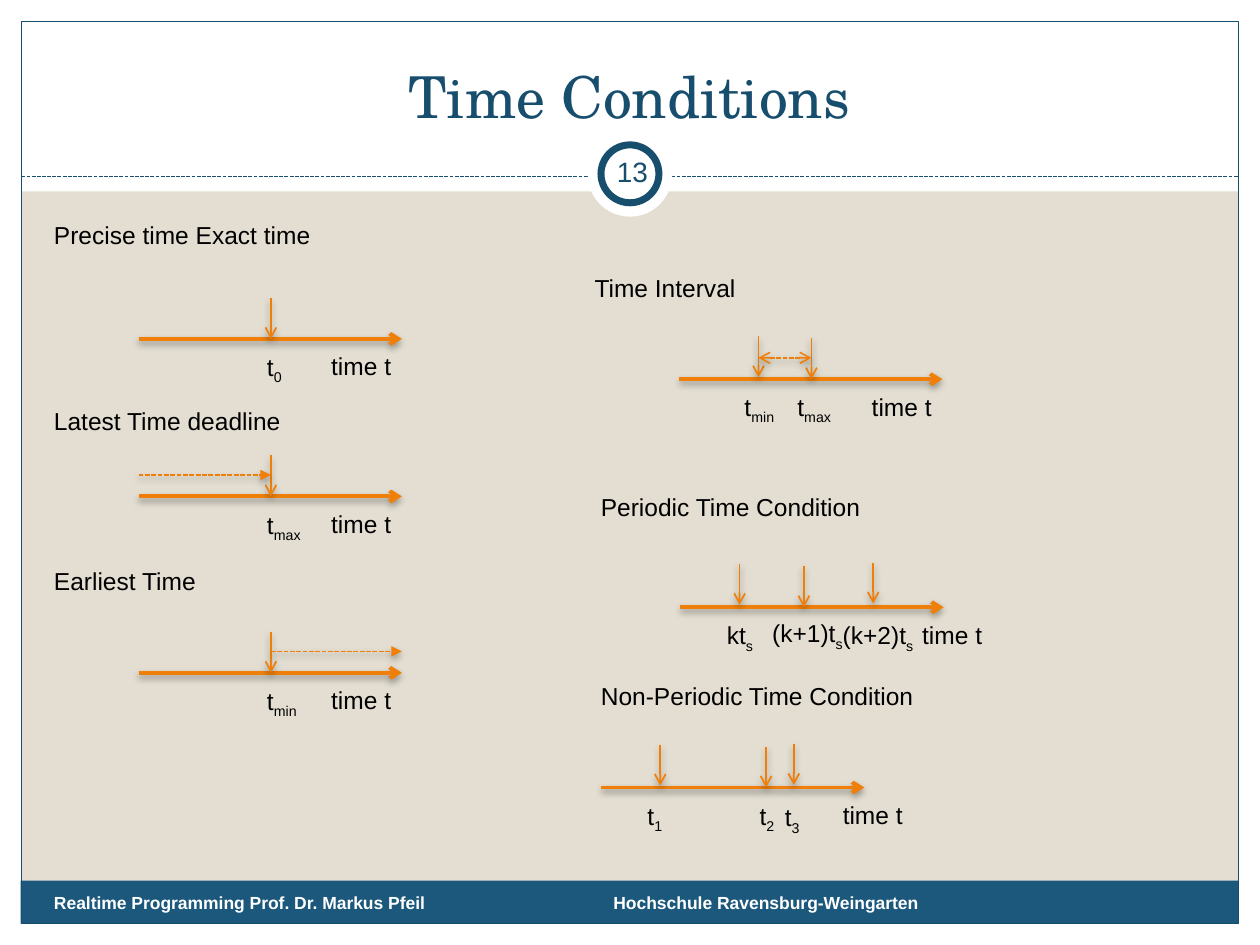
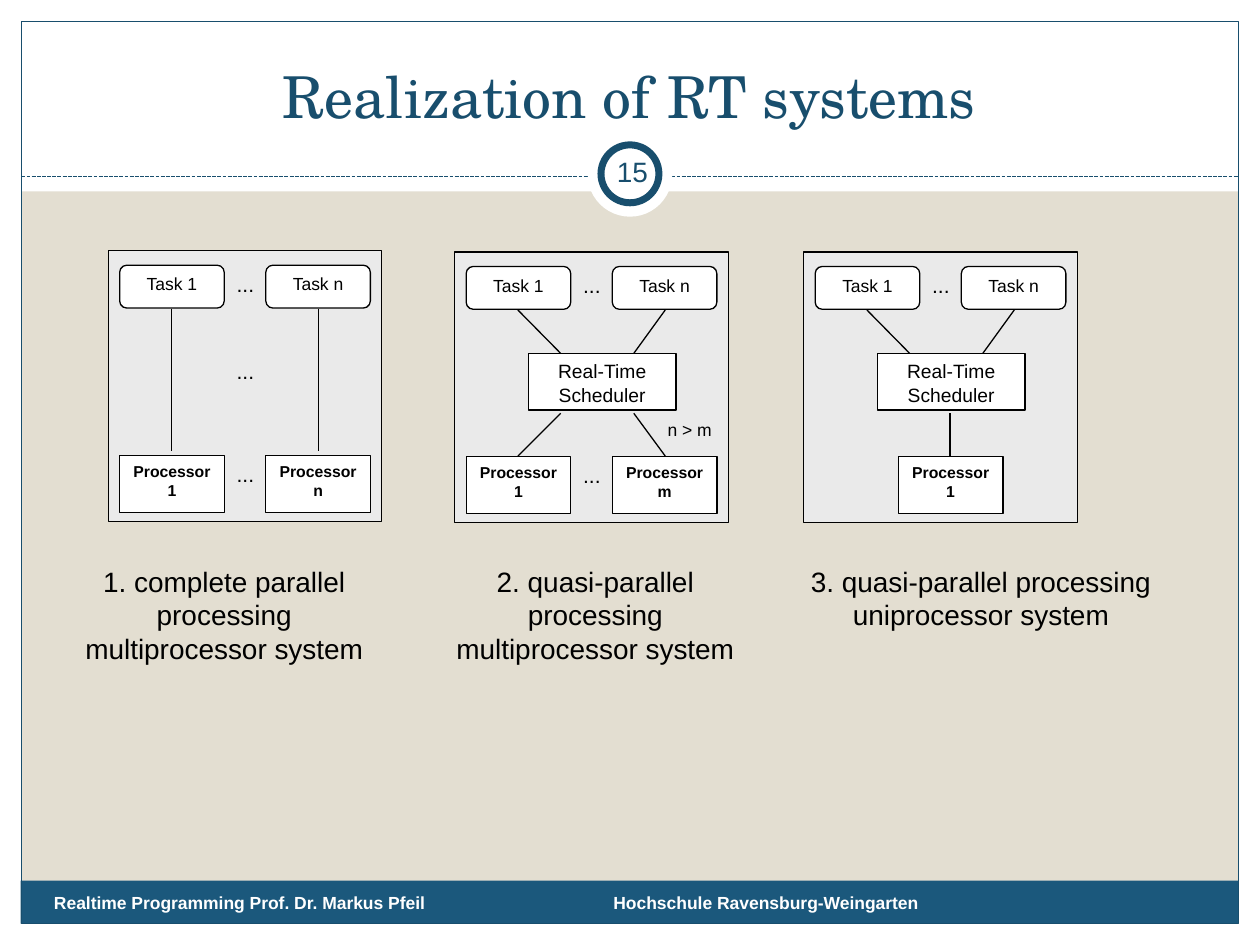
from dataclasses import dataclass
from typing import Any, Optional

import lxml.etree
import pptx
import pptx.dml.color
import pptx.enum.dml
import pptx.enum.shapes
import pptx.enum.text
import pptx.oxml.ns
import pptx.util

SHAPE = pptx.enum.shapes.MSO_SHAPE
ALIGN = pptx.enum.text.PP_ALIGN
ANCHOR = pptx.enum.text.MSO_ANCHOR

SLIDE_WIDTH = pptx.util.Inches(10)
SLIDE_HEIGHT = pptx.util.Inches(7.5)
GRID_COLUMNS, GRID_ROWS = 100, 75


@dataclass(frozen=True)
class Theme:
    background: str = "E3DED1"
    paper: str = "FFFFFF"
    ink: str = "000000"
    navy: str = "184E6D"
    footer_band: str = "1B587C"
    panel: str = "EAEAEA"
    orange: str = "F07F09"
    body_font: str = "Arial"
    title_font: str = "TeX Gyre Schola"
    title_size: float = 33
    number_size: float = 16
    caption_size: float = 16
    label_size: float = 14
    dots_size: float = 12
    scheduler_size: float = 11
    small_size: float = 10
    processor_size: float = 9
    thin: float = 0.75
    span_line: float = 0.9
    mark_line: float = 1
    axis_line: float = 2.25
    ring_line: float = 4


THEME = Theme()


@dataclass(frozen=True)
class Box:
    """A rectangle in grid columns and rows."""
    left: float
    top: float
    width: float
    height: float

    def emu(self) -> tuple[int, int, int, int]:
        return (column(self.left), row(self.top), column(self.width), row(self.height))

    def moved(self, columns: float, rows: float) -> "Box":
        return Box(self.left + columns, self.top + rows, self.width, self.height)


@dataclass(frozen=True)
class Style:
    size: float
    color: str = THEME.ink
    font: str = THEME.body_font
    bold: bool = False
    align: Any = ALIGN.LEFT
    anchor: Any = ANCHOR.TOP
    spacing: Optional[float] = None


@dataclass(frozen=True)
class Stroke:
    color: str
    width: float
    dashed: bool = False
    head: str = ""
    tail: str = ""
    shadow: bool = False


@dataclass(frozen=True)
class Mark:
    """A downward arrow on a time axis, with its label."""
    at: float
    label_left: float
    text: str
    subscript: str
    label_width: float = 5.1
    lift: float = 0
    label_drop: float = 0.55


@dataclass(frozen=True)
class Span:
    start: float
    end: float
    head: str = ""
    tail: str = "triangle"


@dataclass(frozen=True)
class Timeline:
    heading: str
    heading_left: float
    heading_top: float
    axis_left: float
    axis_row: float
    time_left: float
    marks: tuple[Mark, ...]
    span: Optional[Span] = None


@dataclass(frozen=True)
class Panel:
    """A system diagram; everything but the caption is placed relative to its corner."""
    left: float
    top: float
    caption: tuple[str, ...]
    caption_left: float
    caption_width: float
    processors: tuple[tuple[float, str], ...]
    dot_rows: tuple[float, ...]
    links: tuple[tuple[float, float, float, float], ...]
    has_scheduler: bool = True
    note: str = ""


LABEL = Style(THEME.label_size)
CENTERED_SMALL = Style(THEME.small_size, align=ALIGN.CENTER)
FOOTER = Style(THEME.small_size, THEME.paper, bold=True)

AXIS_LENGTH, MARK_HEIGHT, SPAN_LIFT, LABEL_HEIGHT = 20.9, 3.25, 1.7, 3.4
AXIS_STROKE = Stroke(THEME.orange, THEME.axis_line, tail="arrow", shadow=True)
MARK_STROKE = Stroke(THEME.orange, THEME.mark_line, tail="arrow", shadow=True)

TIMELINES = (
    Timeline("Precise time Exact time", 3.3, 17, 11, 26.9, 25.3,
             (Mark(21.5, 20.2, "t", "0", 3.5),)),
    Timeline("Latest Time deadline", 3.3, 31.7, 11, 39.4, 25.3,
             (Mark(21.5, 20.2, "t", "max"),), Span(11, 21.5)),
    Timeline("Earliest Time", 3.3, 44.4, 11, 53.4, 25.3,
             (Mark(21.5, 20.2, "t", "min"),), Span(21.5, 31.9)),
    Timeline("Time Interval", 46.2, 21.2, 53.9, 30.1, 68.2,
             (Mark(60.2, 58.1, "t", "min", lift=0.15), Mark(64.4, 62.3, "t", "max")),
             Span(60.2, 64.4, "arrow", "arrow")),
    Timeline("Periodic Time Condition", 46.7, 38.6, 54, 48.2, 72.2,
             (Mark(58.7, 56.7, "kt", "s", lift=0.2),
              Mark(63.8, 60.3, "(k+1)t", "s", 8.3, label_drop=0.4),
              Mark(69.3, 65.9, "(k+2)t", "s", 8.3, 0.3))),
    Timeline("Non-Periodic Time Condition", 46.7, 53.6, 47.7, 62.5, 65.9,
             (Mark(52.4, 50.4, "t", "1", lift=0.15), Mark(60.8, 59.3, "t", "2", 4.1),
              Mark(63, 61.3, "t", "3", 3.5, 0.2, 0.7))),
)

PANEL_WIDTH, PANEL_HEIGHT = 21.7, 21.5
LEFT_SLOT, MIDDLE_SLOT, RIGHT_SLOT, DOTS_SLOT = 0.9, 7.5, 12.5, 9.2
TASK_ROW, SCHEDULER_ROW, PROCESSOR_ROW = 1.15, 8.05, 16.25
TASKS_TO_SCHEDULER = ((5, 4.6, 8.4, 8.05), (16.7, 4.6, 14.2, 8.05))
SCHEDULER_TO_PROCESSORS = ((8.4, 12.8, 5, 16.2), (14.2, 12.8, 16.7, 16.2))

PANELS = (
    Panel(8.6, 19.9, ("1. complete parallel processing\nmultiprocessor system",), 3.8, 28,
          ((LEFT_SLOT, "Processor 1"), (RIGHT_SLOT, "Processor n")),
          (TASK_ROW, SCHEDULER_ROW, PROCESSOR_ROW),
          ((5, 4.6, 5, 15.9), (16.7, 4.6, 16.7, 15.9)), has_scheduler=False),
    Panel(36.1, 20, ("2. quasi-parallel processing\nmultiprocessor system",), 33.1, 28.3,
          ((LEFT_SLOT, "Processor 1"), (RIGHT_SLOT, "Processor m")),
          (TASK_ROW, PROCESSOR_ROW),
          TASKS_TO_SCHEDULER + SCHEDULER_TO_PROCESSORS, note="n > m"),
    Panel(63.8, 20, ("3. quasi-parallel processing", "uniprocessor system"), 62.8, 30.1,
          ((MIDDLE_SLOT, "Processor 1"),), (TASK_ROW,),
          TASKS_TO_SCHEDULER + ((11.6, 12.8, 11.6, 16.2),)),
)


def column(count: float) -> int:
    return round(SLIDE_WIDTH * count / GRID_COLUMNS)


def row(count: float) -> int:
    return round(SLIDE_HEIGHT * count / GRID_ROWS)


def rgb(color: str) -> pptx.dml.color.RGBColor:
    return pptx.dml.color.RGBColor.from_string(color)


def fill_text(shape: Any, paragraphs: tuple[str, ...], style: Style, subscript: str = "") -> None:
    frame = shape.text_frame
    frame.word_wrap = True
    frame.vertical_anchor = style.anchor
    for index, text in enumerate(paragraphs):
        paragraph = frame.add_paragraph() if index else frame.paragraphs[0]
        paragraph.text = text
        paragraph.alignment = style.align
        if style.spacing:
            paragraph.line_spacing = style.spacing
        paragraph.font.size = pptx.util.Pt(style.size)
        paragraph.font.name = style.font
        paragraph.font.bold = style.bold
        paragraph.font.color.rgb = rgb(style.color)
    if subscript:
        run = paragraph.add_run()
        run.text = subscript
        run._r.get_or_add_rPr().set("baseline", "-25000")


def add_text(shapes: Any, box: Box, text: str | tuple[str, ...], style: Style,
             subscript: str = "") -> Any:
    shape = shapes.add_textbox(*box.emu())
    fill_text(shape, (text,) if isinstance(text, str) else text, style, subscript)
    return shape


def add_block(shapes: Any, kind: Any, box: Box, fill: str = "", line: str = "",
              width: float = THEME.thin, text: str = "", style: Style = CENTERED_SMALL) -> None:
    """Draw a preset shape; an empty fill or line colour means none."""
    shape = shapes.add_shape(kind, *box.emu())
    shape.shadow.inherit = False
    for part, color in ((shape.fill, fill), (shape.line.fill, line)):
        if color:
            part.solid()
            part.fore_color.rgb = rgb(color)
        else:
            part.background()
    if line:
        shape.line.width = pptx.util.Pt(width)
    if text:
        fill_text(shape, (text,), style)


def add_line(shapes: Any, start: tuple[float, float], end: tuple[float, float],
             stroke: Stroke) -> None:
    connector = shapes.add_connector(pptx.enum.shapes.MSO_CONNECTOR.STRAIGHT,
                                     column(start[0]), row(start[1]), column(end[0]), row(end[1]))
    connector.line.color.rgb = rgb(stroke.color)
    connector.line.width = pptx.util.Pt(stroke.width)
    if stroke.dashed:
        connector.line.dash_style = pptx.enum.dml.MSO_LINE.SQUARE_DOT
    properties = connector._element.spPr
    qualified = pptx.oxml.ns.qn
    for tag, arrow in (("a:headEnd", stroke.head), ("a:tailEnd", stroke.tail)):
        if arrow:
            lxml.etree.SubElement(properties.find(qualified("a:ln")), qualified(tag), type=arrow)
    effects = lxml.etree.SubElement(properties, qualified("a:effectLst"))
    if stroke.shadow:
        shadow = lxml.etree.SubElement(effects, qualified("a:outerShdw"), dir="5400000",
                                       blurRad=str(pptx.util.Pt(4)), dist=str(pptx.util.Pt(2)))
        color = lxml.etree.SubElement(shadow, qualified("a:srgbClr"), val=THEME.ink)
        lxml.etree.SubElement(color, qualified("a:alpha"), val="35000")


def add_framed_slide(presentation: Any, title: str, number: int) -> Any:
    """Add a slide with the shared bands, frame, title, number and footers."""
    slide = presentation.slides.add_slide(presentation.slide_layouts[6])
    slide.background.fill.solid()
    slide.background.fill.fore_color.rgb = rgb(THEME.background)
    shapes = slide.shapes
    for border in (Box(0, 73.3, 100, 1.7), Box(0, 0, 100, 15.2),
                   Box(0, 0, 1.7, 75), Box(98.3, 0, 1.7, 75)):
        add_block(shapes, SHAPE.RECTANGLE, border, THEME.paper)
    add_block(shapes, SHAPE.RECTANGLE, Box(1.65, 69.9, 96.6, 3.4), THEME.footer_band)
    add_block(shapes, SHAPE.RECTANGLE, Box(1.7, 1.7, 96.6, 71.6), line=THEME.navy)
    add_line(shapes, (1.7, 14), (98.3, 14), Stroke(THEME.navy, THEME.thin, dashed=True))
    add_block(shapes, SHAPE.OVAL, Box(46.65, 10.5, 6.7, 6.7), THEME.paper)
    add_block(shapes, SHAPE.OVAL, Box(47.7, 11.5, 4.6, 4.6), THEME.paper, THEME.navy,
              THEME.ring_line)
    add_text(shapes, Box(47.7, 70.8, 32.9, 2.2), "Hochschule Ravensburg-Weingarten",
             Style(THEME.small_size, THEME.paper, bold=True, spacing=0.65))
    add_text(shapes, Box(3.3, 70.3, 39.2, 2.7), "Realtime Programming Prof. Dr. Markus Pfeil",
             FOOTER)
    add_text(shapes, Box(3.3, 2.5, 93.3, 8.3), title,
             Style(THEME.title_size, THEME.navy, THEME.title_font, align=ALIGN.CENTER,
                   anchor=ANCHOR.BOTTOM))
    number_box = add_text(shapes, Box(47.7, 11.2, 5, 4.8), str(number),
                          Style(THEME.number_size, THEME.navy, align=ALIGN.CENTER,
                                anchor=ANCHOR.MIDDLE))
    number_box.text_frame.margin_left = number_box.text_frame.margin_right = column(0.5)
    return slide


def add_timeline(shapes: Any, timeline: Timeline) -> None:
    add_text(shapes, Box(timeline.heading_left, timeline.heading_top, 28.8, LABEL_HEIGHT),
             timeline.heading, LABEL)
    group = shapes.add_group_shape().shapes
    axis = timeline.axis_row
    add_line(group, (timeline.axis_left, axis), (timeline.axis_left + AXIS_LENGTH, axis),
             AXIS_STROKE)
    for mark in timeline.marks:
        tip = axis - mark.lift
        add_line(group, (mark.at, tip - MARK_HEIGHT), (mark.at, tip), MARK_STROKE)
        add_text(group, Box(mark.label_left, axis + mark.label_drop, mark.label_width,
                            LABEL_HEIGHT), mark.text, LABEL, mark.subscript)
    add_text(group, Box(timeline.time_left, axis + 0.5, 10.2, LABEL_HEIGHT), "time t", LABEL)
    if timeline.span:
        span = timeline.span
        add_line(group, (span.start, axis - SPAN_LIFT), (span.end, axis - SPAN_LIFT),
                 Stroke(THEME.orange, THEME.span_line, True, span.head, span.tail, True))


def add_panel(shapes: Any, panel: Panel) -> None:
    def place(left: float, top: float, width: float, height: float) -> Box:
        return Box(left, top, width, height).moved(panel.left, panel.top)

    add_block(shapes, SHAPE.RECTANGLE, place(0, 0, PANEL_WIDTH, PANEL_HEIGHT),
              THEME.panel, THEME.ink)
    for left, task in ((LEFT_SLOT, "Task 1"), (RIGHT_SLOT, "Task n")):
        add_block(shapes, SHAPE.FLOWCHART_ALTERNATE_PROCESS, place(left, TASK_ROW, 8.3, 3.4),
                  THEME.paper, THEME.ink, text=task)
    for left, processor in panel.processors:
        add_block(shapes, SHAPE.FLOWCHART_PROCESS, place(left, PROCESSOR_ROW, 8.3, 4.5),
                  THEME.paper, THEME.ink, text=processor,
                  style=Style(THEME.processor_size, bold=True, align=ALIGN.CENTER))
    if panel.has_scheduler:
        add_block(shapes, SHAPE.RECTANGLE, place(5.85, SCHEDULER_ROW, 11.7, 4.5),
                  THEME.paper, THEME.ink, text="Real-Time\nScheduler",
                  style=Style(THEME.scheduler_size, align=ALIGN.CENTER))
    for top in panel.dot_rows:
        add_text(shapes, place(DOTS_SLOT, top, 4.2, 3.4), "...", Style(THEME.dots_size))
    for x1, y1, x2, y2 in panel.links:
        add_line(shapes, (panel.left + x1, panel.top + y1), (panel.left + x2, panel.top + y2),
                 Stroke(THEME.ink, THEME.thin))
    if panel.note:
        add_text(shapes, place(15.9, 12.8, 5.8, 3.4), panel.note, Style(THEME.small_size))
    add_text(shapes, Box(panel.caption_left, 44.3, panel.caption_width, 5.7), panel.caption,
             Style(THEME.caption_size, align=ALIGN.CENTER))


def main() -> None:
    presentation = pptx.Presentation()
    presentation.slide_width, presentation.slide_height = SLIDE_WIDTH, SLIDE_HEIGHT
    conditions = add_framed_slide(presentation, "Time Conditions", 13)
    for timeline in TIMELINES:
        add_timeline(conditions.shapes, timeline)
    realization = add_framed_slide(presentation, "Realization of RT systems", 15)
    for panel in PANELS:
        add_panel(realization.shapes, panel)
    presentation.save("out.pptx")


if __name__ == "__main__":
    main()
